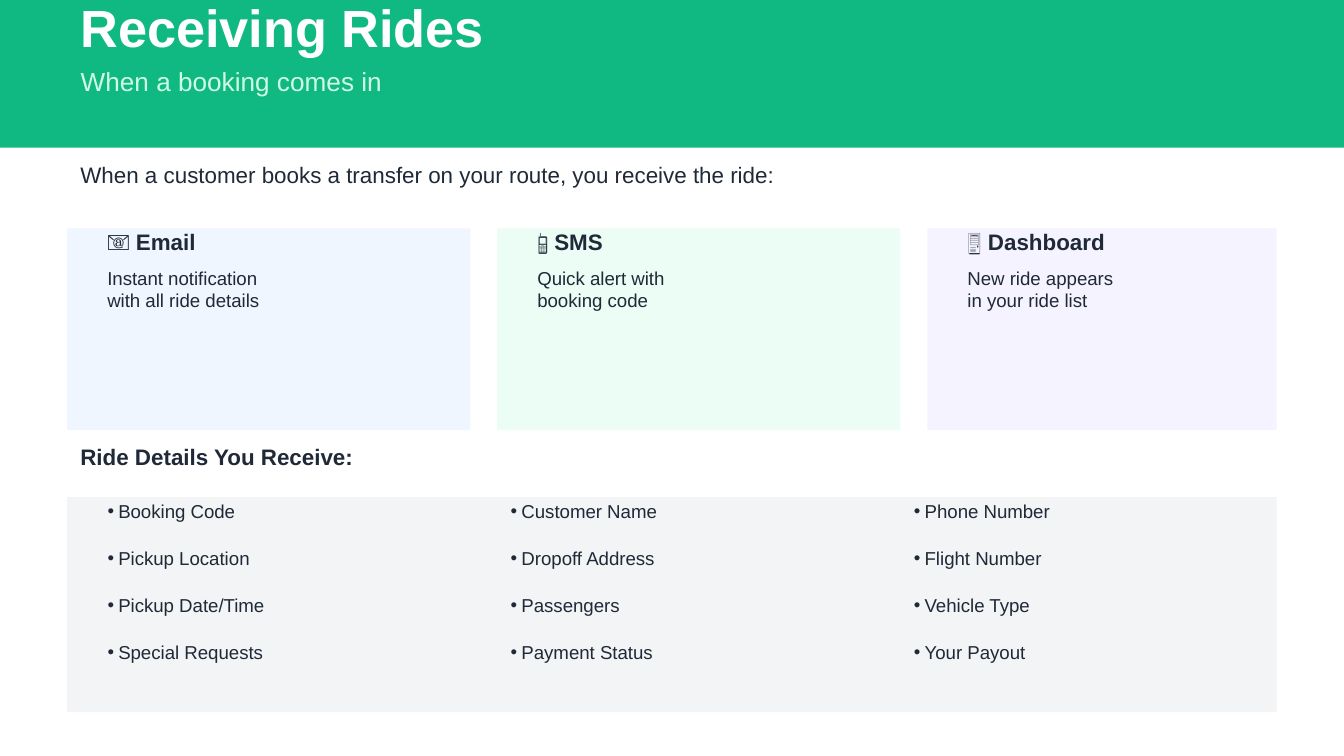
from lxml import etree
from pptx import Presentation
from pptx.dml.color import RGBColor
from pptx.enum.shapes import MSO_SHAPE
from pptx.enum.text import MSO_ANCHOR, MSO_AUTO_SIZE, PP_ALIGN
from pptx.oxml.ns import qn
from pptx.util import Inches, Pt

RECT = MSO_SHAPE.RECTANGLE
TOP, MID = MSO_ANCHOR.TOP, MSO_ANCHOR.MIDDLE
LEFT, FIXED = PP_ALIGN.LEFT, MSO_AUTO_SIZE.NONE
INK = "1F2937"

deck = Presentation()
deck.slide_width = Inches(10)
deck.slide_height = deck.slide_width * 9 // 16
unit = deck.slide_width / 100
slide = deck.slides.add_slide(deck.slide_layouts[4])
tree = slide.shapes
title, sub, *lists = slide.placeholders


def panel(grid, hue):
    box = tree.add_shape(RECT, *[round(n * unit) for n in grid])
    box.shadow.inherit = False
    box.fill.solid()
    box.fill.fore_color.rgb = RGBColor.from_string(hue)
    box.line.fill.background()
    tree._spTree.insert(2, box._element)


def write(box, grid, lines, size, hue=INK, bold=False, anchor=MID, gap=0):
    for key, n in zip(("left", "top", "width", "height"), grid):
        setattr(box, key, round(n * unit))
    frame = box.text_frame
    frame.text = "\n".join(lines)
    for key, val in {"word_wrap": True, "auto_size": FIXED, "vertical_anchor": anchor}.items():
        setattr(frame, key, val)
    style = {"alignment": LEFT, "line_spacing": 1.0, "space_before": Pt(0), "space_after": Pt(gap)}
    face = {"name": "Arial", "size": Pt(size), "bold": bold}
    for para in frame.paragraphs:
        for key, val in style.items():
            setattr(para, key, val)
        for key, val in face.items():
            setattr(para.runs[0].font, key, val)
        para.runs[0].font.color.rgb = RGBColor.from_string(hue)


panel((0, 0, 100, 11), "10B981")
write(title, (5, 0, 75, 4), ["Receiving Rides"], 28, "FFFFFF", True)
write(sub, (5, 4, 75, 4), ["When a booking comes in"], 14, "D1FAE5")

heads = [
    (11, "When a customer books a transfer on your route, you receive the ride:", False),
    (32, "Ride Details You Receive:", True),
]
for row, words, bold in heads:
    write(tree.add_textbox(0, 0, 0, 0), (5, row, 75, 4), [words], 12, bold=bold)

cards = [
    ("📧 Email", ["Instant notification", "with all ride details"], "EFF6FF", 30),
    ("📱 SMS", ["Quick alert with", "booking code"], "ECFDF5", 30),
    ("🖥️ Dashboard", ["New ride appears", "in your ride list"], "F5F3FF", 26),
]
for i, (head, lines, hue, wide) in enumerate(cards):
    col = 5 + 32 * i
    panel((col, 17, wide, 15), hue)
    write(tree.add_textbox(0, 0, 0, 0), (col + 2, 16, wide - 4, 4), [head], 12, bold=True)
    write(tree.add_textbox(0, 0, 0, 0), (col + 2, 19, wide - 4, 5), lines, 10)

panel((5, 37, 90, 16), "F3F4F6")
facts = [
    ["Booking Code", "Pickup Location", "Pickup Date/Time", "Special Requests"],
    ["Customer Name", "Dropoff Address", "Passengers", "Payment Status"],
    ["Phone Number", "Flight Number", "Vehicle Type", "Your Payout"],
]
for i, (box, lines) in enumerate(zip(lists, facts)):
    write(box, (7 + 30 * i, 36.7, 28, 15), lines, 10, anchor=TOP, gap=13.2)
    for para in box.text_frame.paragraphs:
        props = para._p.get_or_add_pPr()
        props.set("marL", str(Inches(0.08)))
        props.set("indent", str(-Inches(0.08)))
        etree.SubElement(props, qn("a:buFont")).set("typeface", "Arial")
        etree.SubElement(props, qn("a:buChar")).set("char", "•")

for para in sub.text_frame.paragraphs:
    props = para._p.get_or_add_pPr()
    props.set("marL", "0")
    props.set("indent", "0")
    etree.SubElement(props, qn("a:buNone"))

deck.save("out.pptx")
